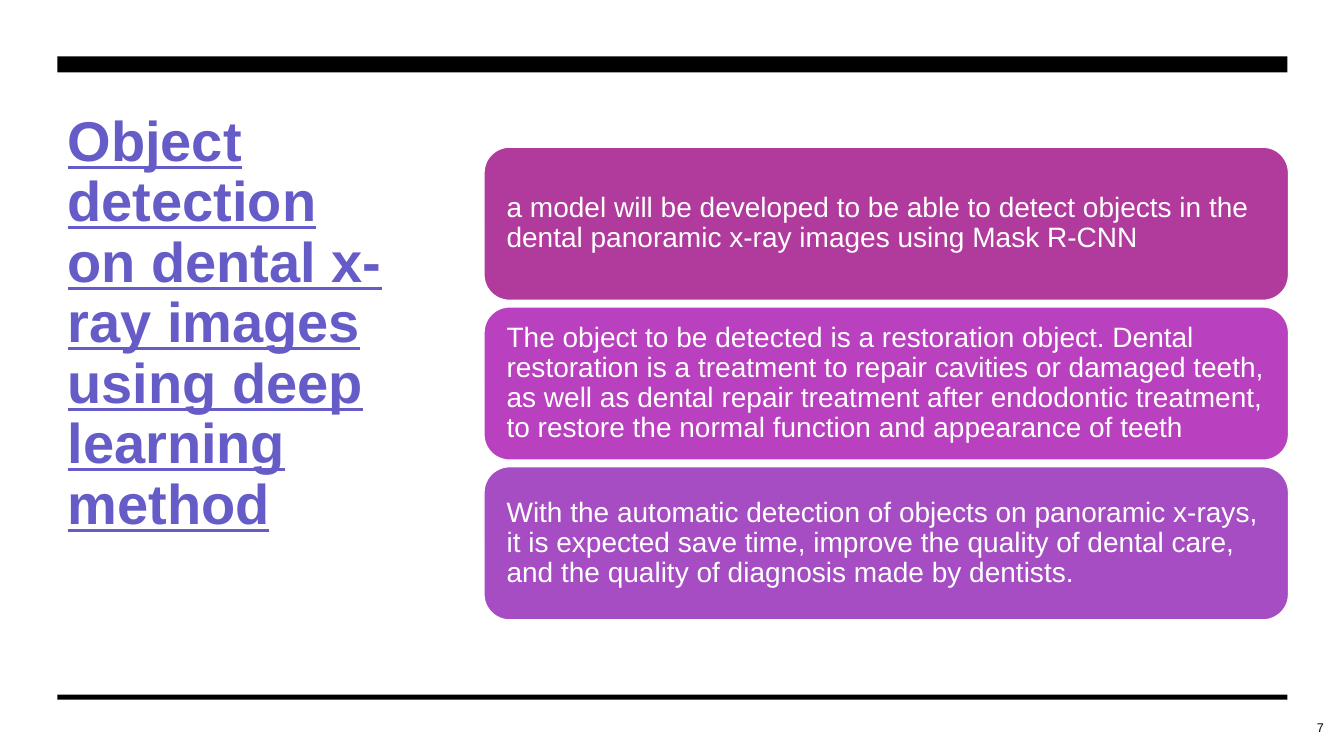
from pptx import Presentation
from pptx.dml.color import RGBColor
from pptx.enum import shapes, text
from pptx.util import Inches, Pt

# Content
TITLE = "Object detection on dental x-ray images using deep learning method"
CARDS = [
    ("a model will be developed to be able to detect objects in the dental "
     "panoramic x-ray images using Mask R-CNN", "B13B9D"),
    ("The object to be detected is a restoration object. Dental restoration is "
     "a treatment to repair cavities or damaged teeth, as well as dental repair "
     "treatment after endodontic treatment, to restore the normal function and "
     "appearance of teeth", "B940BE"),
    ("With the automatic detection of objects on panoramic x-rays, it is "
     "expected save time, improve the quality of dental care, and the quality "
     "of diagnosis made by dentists.", "A64DC3"),
]
PAGE = "7"
RULES = [(0.56, 0.16), (6.89, 0.05)]  # top, height

THEME = {"font": "Arial", "title": "655CC8", "white": "FFFFFF", "black": "000000",
         "title_size": 40, "card_size": 20, "page_size": 9}

# Layout in inches
LEFT, RULE_W = 0.57, 12.2
CARD_X, CARD_Y, CARD_W, CARD_H, CARD_STEP = 4.8, 1.46, 7.98, 1.52, 1.585
CARD_INSET = 0.15


def rgb(value):
    return RGBColor.from_string(value)


def style(p, size, color):
    p.font.name = THEME["font"]
    p.font.size = Pt(size)
    p.font.color.rgb = rgb(color)


def add_box(s, kind, x, y, w, h, fill):
    sp = s.shapes.add_shape(kind, Inches(x), Inches(y), Inches(w), Inches(h))
    sp.shadow.inherit = False
    sp.fill.solid()
    sp.fill.fore_color.rgb = rgb(fill)
    sp.line.fill.background()
    return sp


def main():
    prs = Presentation()
    prs.slide_width, prs.slide_height = Inches(13.33), Inches(7.5)
    s = prs.slides.add_slide(prs.slide_layouts[5])
    s.background.fill.solid()
    s.background.fill.fore_color.rgb = rgb(THEME["white"])

    # Title
    sp = s.shapes.title
    sp.left, sp.top = Inches(LEFT), Inches(1.07)
    sp.width, sp.height = Inches(3.45), Inches(4.45)
    tf = sp.text_frame
    tf.text = TITLE
    tf.word_wrap = True
    tf.auto_size = text.MSO_AUTO_SIZE.NONE
    tf.vertical_anchor = text.MSO_ANCHOR.TOP
    p = tf.paragraphs[0]
    p.alignment = text.PP_ALIGN.LEFT
    p.line_spacing = 0.9
    style(p, THEME["title_size"], THEME["title"])
    p.font.bold = p.font.underline = True

    # Rules above and below
    for y, h in RULES:
        add_box(s, shapes.MSO_SHAPE.RECTANGLE, LEFT, y, RULE_W, h, THEME["black"])

    # Cards
    for i, (words, fill) in enumerate(CARDS):
        sp = add_box(s, shapes.MSO_SHAPE.ROUNDED_RECTANGLE, CARD_X,
                     CARD_Y + i * CARD_STEP, CARD_W, CARD_H, fill)
        sp.line.color.rgb = rgb(THEME["white"])
        sp.line.width = Pt(1)
        tf = sp.text_frame
        tf.text = words
        tf.word_wrap = True
        tf.vertical_anchor = text.MSO_ANCHOR.MIDDLE
        tf.margin_left = tf.margin_right = Inches(CARD_INSET)
        tf.margin_top = tf.margin_bottom = Inches(CARD_INSET)
        p = tf.paragraphs[0]
        p.alignment = text.PP_ALIGN.LEFT
        p.line_spacing = 0.9
        style(p, THEME["card_size"], THEME["white"])

    # Page number
    tf = s.shapes.add_textbox(Inches(12.53), Inches(7.02), Inches(0.7),
                              Inches(0.4)).text_frame
    tf.text = PAGE
    tf.word_wrap = True
    tf.vertical_anchor = text.MSO_ANCHOR.MIDDLE
    p = tf.paragraphs[0]
    p.alignment = text.PP_ALIGN.RIGHT
    style(p, THEME["page_size"], THEME["black"])

    prs.save("out.pptx")


if __name__ == "__main__":
    main()
